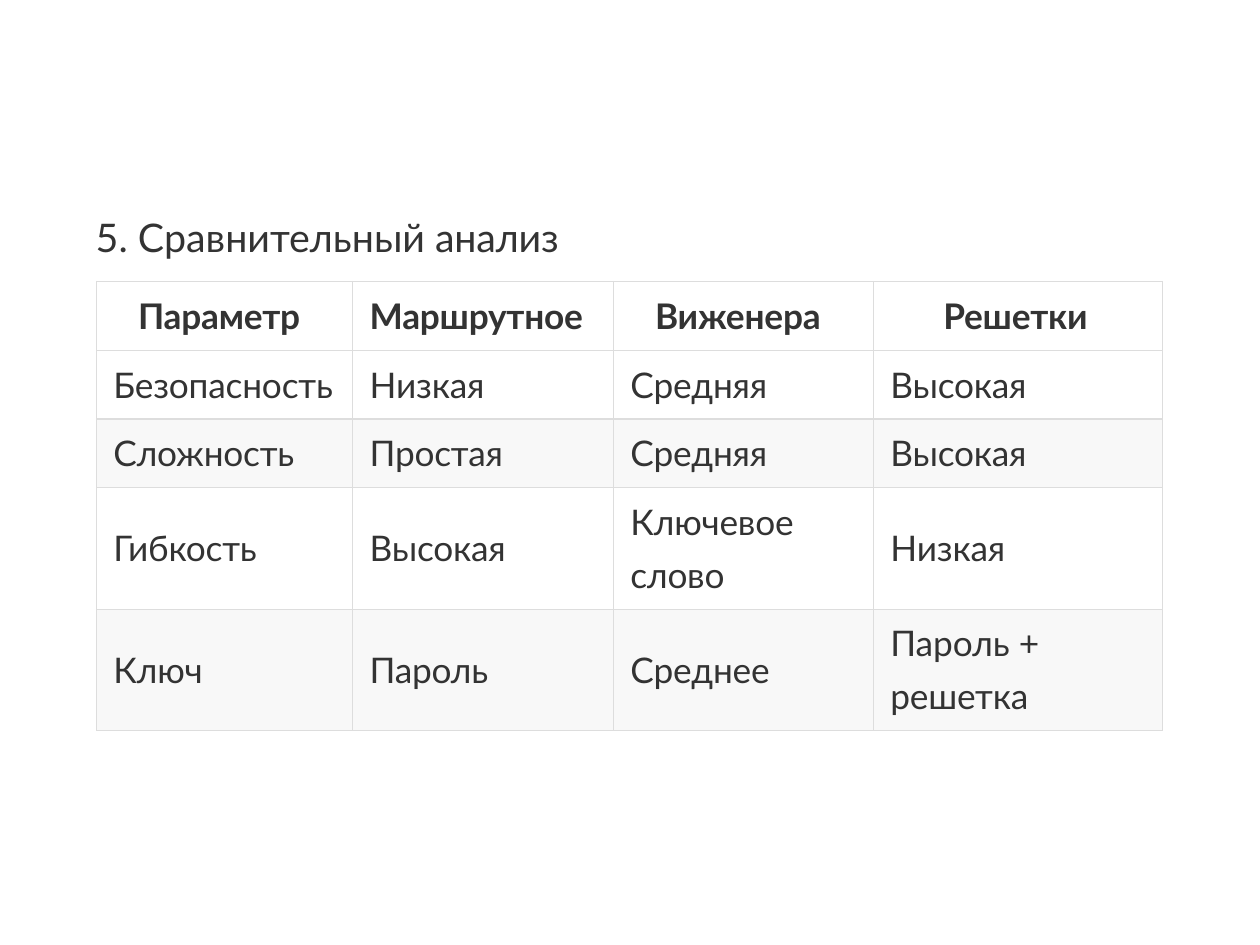
from lxml.etree import SubElement
from pptx import Presentation
from pptx.dml.color import RGBColor
from pptx.oxml.ns import qn
from pptx.util import Cm, Pt

COLORS = {"text": "333333", "border": "DDDDDD", "band": "F8F8F8"}
FONT = "Lato"
TITLE_RUNS = [("5. Сравнительный ", 0), ("анализ", -0.1)]
HEADERS = ["Параметр", "Маршрутное", "Виженера", "Решетки"]
HEADER_INDENTS = [0.89, 0.36, 0.89, 1.5]
BODY = [
    ["Безопасность", "Низкая", "Средняя", "Высокая"],
    ["Сложность", "Простая", "Средняя", "Высокая"],
    ["Гибкость", "Высокая", "Ключевое слово", "Низкая"],
    ["Ключ", "Пароль", "Среднее", [("Пароль ", 0), ("+ ", -0.5), ("решетка", -0.1)]],
]
TWO_LINE_CELLS = {(3, 2), (4, 3)}
COLUMN_WIDTHS = [5.51, 5.61, 5.59, 6.22]
ROW_HEIGHTS = [1.48, 1.48, 1.48, 2.61, 2.61]
BODY_INDENT = 0.36
SINGLE_ROW_INSET, TALL_ROW_INSET, TWO_LINE_INSET = 0.28, 0.84, 0.05


def add_runs(paragraph, runs, size, bold=False):
    """Add (text, character spacing) runs in the slide's font."""
    for text, spacing in runs:
        run = paragraph.add_run()
        run.text = text
        run.font.name = FONT
        run.font.size = Pt(size)
        run.font.bold = bold
        run.font.color.rgb = RGBColor.from_string(COLORS["text"])
        if spacing:
            run.font._element.set("spc", str(round(spacing * 100)))


def add_borders(cell):
    """Draw a thin line on all four sides of a cell."""
    properties = cell._tc.get_or_add_tcPr()
    for side in ("lnL", "lnR", "lnT", "lnB"):
        line = SubElement(properties, qn(f"a:{side}"), w=str(Pt(0.75)))
        fill = SubElement(line, qn("a:solidFill"))
        SubElement(fill, qn("a:srgbClr"), val=COLORS["border"])


def fill_cell(cell, content, indent, inset, banded, bold, line_spacing):
    """Set the text, insets, borders and background of a cell."""
    cell.margin_left, cell.margin_top = Cm(indent), Cm(inset)
    cell.margin_right = cell.margin_bottom = 0
    paragraph = cell.text_frame.paragraphs[0]
    paragraph.line_spacing = line_spacing
    runs = [(content, -0.1)] if isinstance(content, str) else content
    add_runs(paragraph, runs, 21.5, bold)
    add_borders(cell)
    if banded:
        cell.fill.solid()
        cell.fill.fore_color.rgb = RGBColor.from_string(COLORS["band"])
    else:
        cell.fill.background()


def add_title(slide):
    """Add the heading above the table."""
    box = slide.shapes.add_textbox(Cm(2.06), Cm(4.22), Cm(23), Cm(1.68))
    frame = box.text_frame
    frame.word_wrap = True
    frame.margin_left = frame.margin_right = frame.margin_bottom = 0
    frame.margin_top = Cm(0.36)
    add_runs(frame.paragraphs[0], TITLE_RUNS, 24)


def add_comparison_table(slide):
    """Add the table that compares the ciphers."""
    rows = [HEADERS] + BODY
    table = slide.shapes.add_table(
        len(rows), len(HEADERS), Cm(2.08), Cm(6.05),
        Cm(sum(COLUMN_WIDTHS)), Cm(sum(ROW_HEIGHTS)),
    ).table
    table.first_row = table.horz_banding = False
    for column, width in zip(table.columns, COLUMN_WIDTHS):
        column.width = Cm(width)
    for row_index, (row, height) in enumerate(zip(rows, ROW_HEIGHTS)):
        table.rows[row_index].height = Cm(height)
        is_header = row_index == 0
        banded = not is_header and row_index % 2 == 0
        row_inset = TALL_ROW_INSET if height > ROW_HEIGHTS[0] else SINGLE_ROW_INSET
        for column_index, content in enumerate(row):
            two_lines = (row_index, column_index) in TWO_LINE_CELLS
            indent = HEADER_INDENTS[column_index] if is_header else BODY_INDENT
            inset = TWO_LINE_INSET if two_lines else row_inset
            fill_cell(table.cell(row_index, column_index), content, indent, inset,
                      banded, is_header, 1.25 if two_lines else 1.0)


def main():
    """Build and save the slide."""
    presentation = Presentation()
    presentation.slide_width, presentation.slide_height = Cm(27.1), Cm(20.32)
    slide = presentation.slides.add_slide(presentation.slide_layouts[6])
    add_comparison_table(slide)
    add_title(slide)
    presentation.save("out.pptx")


if __name__ == "__main__":
    main()
